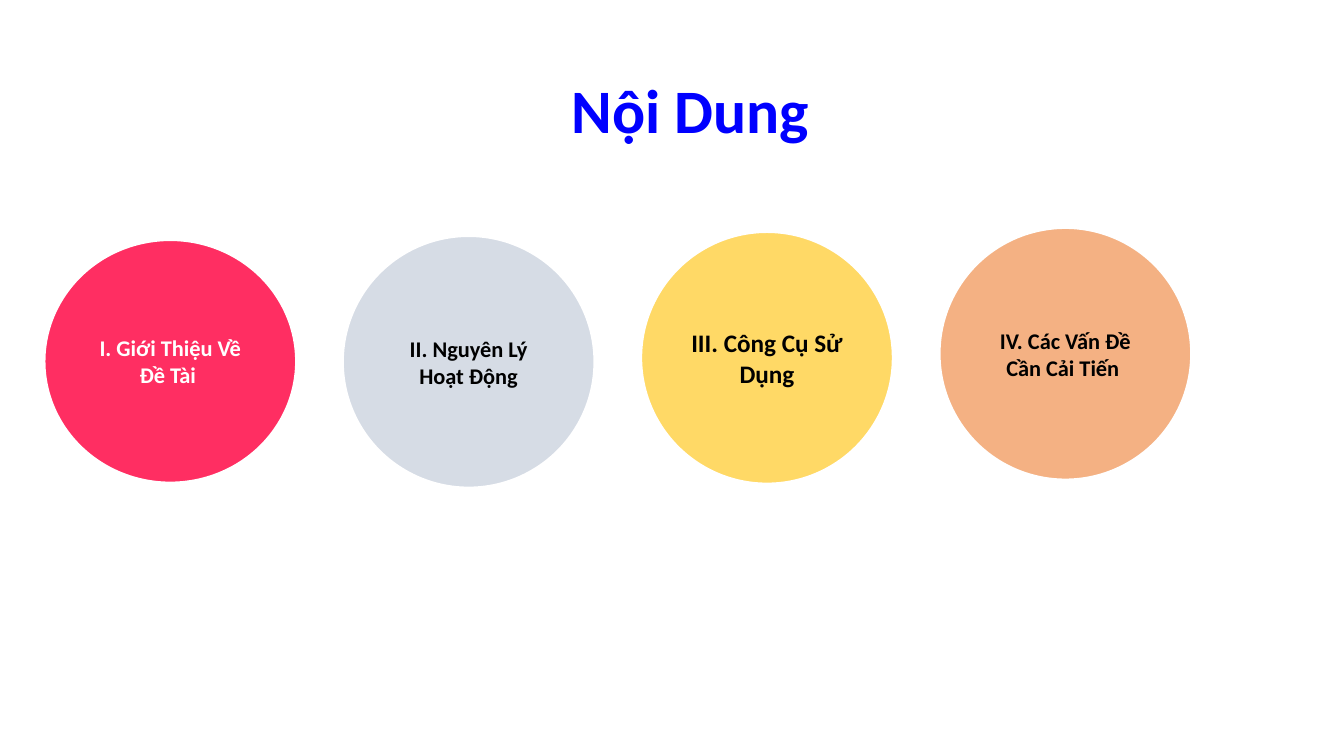
from dataclasses import dataclass

from lxml import etree
from pptx import Presentation
from pptx.dml.color import RGBColor
from pptx.enum.shapes import MSO_SHAPE
from pptx.enum.text import MSO_ANCHOR, PP_ALIGN
from pptx.oxml.ns import qn
from pptx.slide import Slide
from pptx.text.text import TextFrame
from pptx.util import Pt

ELLIPSE = MSO_SHAPE.OVAL
CENTER = PP_ALIGN.CENTER
MIDDLE = MSO_ANCHOR.MIDDLE
BOTTOM = MSO_ANCHOR.BOTTOM

BLUE = RGBColor(0x00, 0x00, 0xFF)
BLACK = RGBColor(0x00, 0x00, 0x00)
WHITE = RGBColor(0xFF, 0xFF, 0xFF)
PINK = RGBColor(0xFF, 0x00, 0x40)
GRAY = RGBColor(0xD6, 0xDC, 0xE5)
YELLOW = RGBColor(0xFF, 0xD9, 0x66)
ORANGE = RGBColor(0xF4, 0xB1, 0x83)

FONT_NAME = "Calibri"
CIRCLE_WIDTH = 184.32
FIRST_LEFT, FIRST_TOP = 29.5, 169.2
COLUMN_STEP, RISE_STEP = 213.12, 2.88


@dataclass(frozen=True)
class Topic:
    text: str
    fill: RGBColor
    text_color: RGBColor = BLACK
    text_size: float = 16
    height: float = CIRCLE_WIDTH
    opacity: int = 100


TOPICS = [
    Topic("I. Giới Thiệu Về Đề Tài ", PINK, WHITE, height=177.84, opacity=82),
    Topic("II. Nguyên Lý Hoạt Động", GRAY),
    Topic("III. Công Cụ Sử Dụng", YELLOW, text_size=18),
    Topic("IV. Các Vấn Đề Cần Cải Tiến ", ORANGE),
]


def write_text(frame: TextFrame, text: str, size: float, color: RGBColor,
               frame_format: dict) -> None:
    """Fill a frame with one bold, centred paragraph."""
    for name, value in frame_format.items():
        setattr(frame, name, value)
    paragraph = frame.paragraphs[0]
    paragraph.alignment = CENTER
    run = paragraph.add_run()
    run.text = text
    font_format = {"name": FONT_NAME, "size": Pt(size), "bold": True}
    for name, value in font_format.items():
        setattr(run.font, name, value)
    run.font.color.rgb = color


def add_title(slide: Slide, text: str) -> None:
    title = slide.shapes.add_textbox(Pt(334.8), Pt(30.24), Pt(316.8), Pt(77.76))
    write_text(title.text_frame, text, 44.1, BLUE,
               {"word_wrap": True, "vertical_anchor": BOTTOM})
    title.text_frame.paragraphs[0].line_spacing = 1.5


def add_topic(slide: Slide, topic: Topic, index: int) -> None:
    """Draw a topic circle; each one sits slightly higher than the last."""
    circle = slide.shapes.add_shape(
        ELLIPSE,
        Pt(FIRST_LEFT + index * COLUMN_STEP),
        Pt(FIRST_TOP - index * RISE_STEP),
        Pt(CIRCLE_WIDTH),
        Pt(topic.height),
    )
    circle.shadow.inherit = False
    circle.fill.solid()
    circle.fill.fore_color.rgb = topic.fill
    circle.line.color.rgb = WHITE
    circle.line.width = Pt(6)

    # Fill transparency
    if topic.opacity < 100:
        fill_color = circle.fill._xPr.find(qn("a:solidFill"))[0]
        alpha = etree.SubElement(fill_color, qn("a:alpha"))
        alpha.set("val", str(topic.opacity * 1000))

    margins = {f"margin_{side}": Pt(7.2)
               for side in ("left", "top", "right", "bottom")}
    write_text(circle.text_frame, topic.text, topic.text_size, topic.text_color,
               {"word_wrap": True, "vertical_anchor": MIDDLE, **margins})


def main() -> None:
    presentation = Presentation()
    presentation.slide_width = Pt(960)
    presentation.slide_height = Pt(540)
    slide = presentation.slides.add_slide(presentation.slide_layouts[6])

    # Heading
    add_title(slide, "Nội Dung")

    # Row of topic circles
    for index, topic in enumerate(TOPICS):
        add_topic(slide, topic, index)

    presentation.save("out.pptx")


if __name__ == "__main__":
    main()
